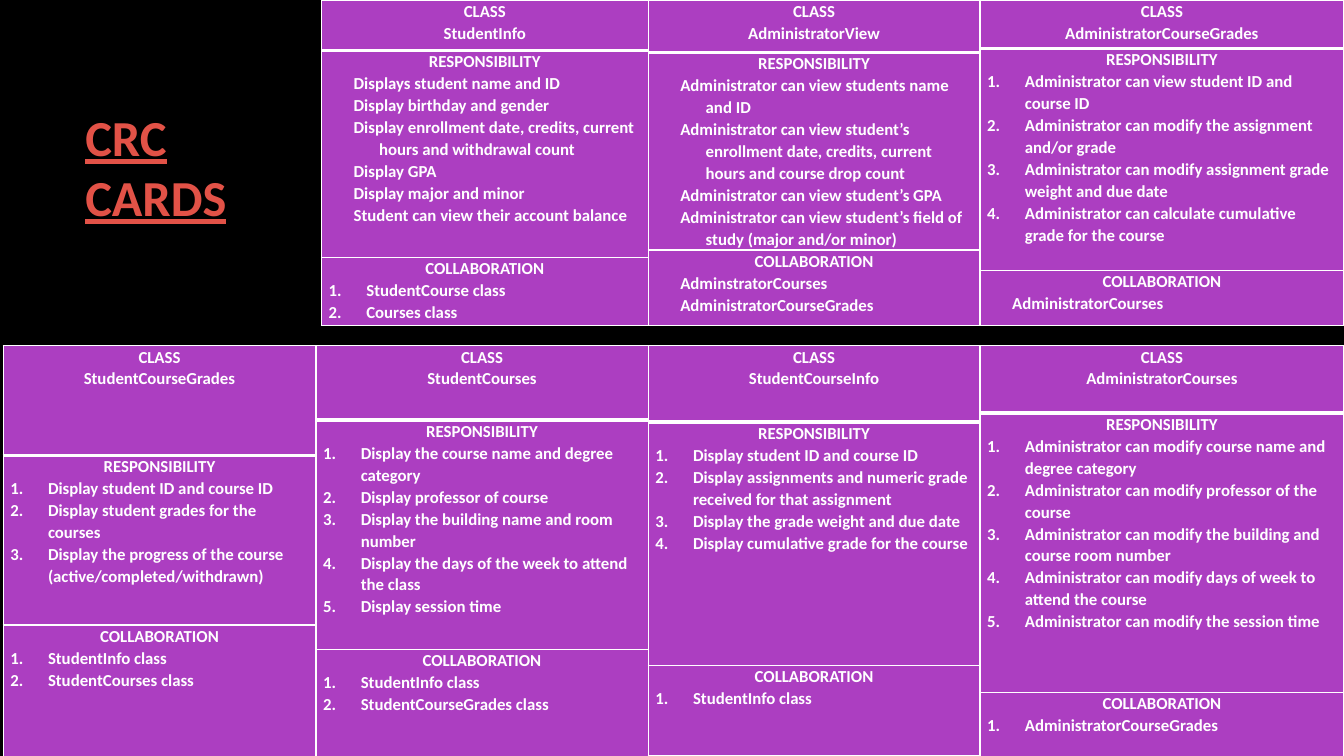
from lxml import etree
from pptx import Presentation
from pptx.dml.color import RGBColor
from pptx.enum.text import MSO_ANCHOR, PP_ALIGN
from pptx.oxml.ns import qn
from pptx.util import Cm, Pt

CENTER = PP_ALIGN.CENTER
MIDDLE = MSO_ANCHOR.MIDDLE
BLACK, WHITE, PURPLE, RED = "000000", "FFFFFF", "AC3EC1", "E25247"
NUMBERED, PLAIN = "numbered", "plain"
INDENTS = {NUMBERED: (0.95, -0.95), PLAIN: (1.27, -0.64)}
CARD_FONT = {"name": "Calibri", "size": Pt(12), "bold": True}
TITLE_FONT = {"name": "Calibri", "size": Pt(36), "bold": True, "underline": True}
CELL_FORMAT = {"margin_left": Cm(0.18), "margin_right": Cm(0.18),
               "margin_top": 0, "margin_bottom": 0}

TITLE = "CRC CARDS"
CARD_ROWS = [
    {"top": 0, "edges": (8.1, 16.33, 24.69, 33.86), "cards": [
        ("StudentInfo", (1.27, 5.21, 1.73), PLAIN, [
            "Displays student name and ID",
            "Display birthday and gender",
            "Display enrollment date, credits, current hours and withdrawal count",
            "Display GPA",
            "Display major and minor",
            "Student can view their account balance",
        ], NUMBERED, ["StudentCourse class", "Courses class"]),
        ("AdministratorView", (1.32, 4.98, 1.9), PLAIN, [
            "Administrator can view students name and ID",
            "Administrator can view student’s enrollment date, credits, "
            "current hours and course drop count",
            "Administrator can view student’s GPA",
            "Administrator can view student’s field of study (major and/or minor)",
        ], PLAIN, ["AdminstratorCourses", "AdministratorCourseGrades"]),
        ("AdministratorCourseGrades", (1.22, 5.59, 1.4), NUMBERED, [
            "Administrator can view student ID and course ID",
            "Administrator can modify the assignment and/or grade",
            "Administrator can modify assignment grade weight and due date",
            "Administrator can calculate cumulative grade for the course",
        ], PLAIN, ["AdministratorCourses"]),
    ]},
    {"top": 8.71, "edges": (0.08, 7.96, 16.33, 24.69, 33.86), "cards": [
        ("StudentCourseGrades", (2.77, 4.27, 3.38), NUMBERED, [
            "Display student ID and course ID",
            "Display student grades for the courses",
            "Display the progress of the course (active/completed/withdrawn)",
        ], NUMBERED, ["StudentInfo class", "StudentCourses class"]),
        ("StudentCourses", (1.88, 5.77, 2.79), NUMBERED, [
            "Display the course name and degree category",
            "Display professor of course",
            "Display the building name and room number",
            "Display the days of the week to attend the class",
            "Display session time",
        ], NUMBERED, ["StudentInfo class", "StudentCourseGrades class"]),
        ("StudentCourseInfo", (1.93, 6.12, 2.29), NUMBERED, [
            "Display student ID and course ID",
            "Display assignments and numeric grade received for that assignment",
            "Display the grade weight and due date",
            "Display cumulative grade for the course",
        ], NUMBERED, ["StudentInfo class"]),
        ("AdministratorCourses", (1.7, 7.04, 1.68), NUMBERED, [
            "Administrator can modify course name and degree category",
            "Administrator can modify professor of the course",
            "Administrator can modify the building and course room number",
            "Administrator can modify days of week to attend the course",
            "Administrator can modify the session time",
        ], NUMBERED, ["AdministratorCourseGrades"]),
    ]},
]


def apply(target, values):
    for name, value in values.items():
        setattr(target, name, value)


def color(hex_value):
    return RGBColor.from_string(hex_value)


def fill(target, hex_value):
    target.fill.solid()
    target.fill.fore_color.rgb = color(hex_value)


def write(paragraph, text, font, hex_value):
    run = paragraph.add_run()
    run.text = text
    apply(run.font, font)
    run.font.color.rgb = color(hex_value)


def set_borders(cell, widths):
    properties = cell._tc.get_or_add_tcPr()
    for index, (side, width) in enumerate(widths.items()):
        line = etree.Element(qn("a:ln" + side), w=str(Pt(width)))
        solid = etree.SubElement(line, qn("a:solidFill"))
        etree.SubElement(solid, qn("a:srgbClr"), val=WHITE)
        properties.insert(index, line)


def fill_cell(cell, lines):
    apply(cell, CELL_FORMAT)
    fill(cell, PURPLE)
    frame = cell.text_frame
    for index, (text, style) in enumerate(lines):
        paragraph = frame.add_paragraph() if index else frame.paragraphs[0]
        paragraph.line_spacing = 1.07
        if style in INDENTS:
            properties = paragraph._p.get_or_add_pPr()
            for name, length in zip(("marL", "indent"), INDENTS[style]):
                properties.set(name, str(Cm(length)))
            if style == NUMBERED:
                etree.SubElement(properties, qn("a:buAutoNum"), type="arabicPeriod")
        else:
            paragraph.alignment = CENTER
        write(paragraph, text, CARD_FONT, WHITE)


def add_card(slide, left, top, width, card):
    name, heights, duty_style, duties, partner_style, partners = card
    sections = [
        [("CLASS", None), (name, None)],
        [("RESPONSIBILITY", None)] + [(text, duty_style) for text in duties],
        [("COLLABORATION", None)] + [(text, partner_style) for text in partners],
    ]
    table = slide.shapes.add_table(len(sections), 1, Cm(left), Cm(top),
                                   Cm(width), Cm(sum(heights))).table
    apply(table, {"first_row": False, "horz_banding": False})
    for index, (height, lines) in enumerate(zip(heights, sections)):
        table.rows[index].height = Cm(height)
        cell = table.cell(index, 0)
        fill_cell(cell, lines)
        set_borders(cell, {"L": 1, "R": 1, "T": 3 if index == 1 else 1,
                           "B": 3 if index == 0 else 1})


presentation = Presentation()
apply(presentation, {"slide_width": Cm(33.86), "slide_height": Cm(19.05)})
slide = presentation.slides.add_slide(presentation.slide_layouts[6])
fill(slide.background, BLACK)

title = slide.shapes.add_textbox(Cm(1.9), Cm(1.7), Cm(4.34), Cm(4.98))
apply(title.text_frame, {"word_wrap": True, "vertical_anchor": MIDDLE})
write(title.text_frame.paragraphs[0], TITLE, TITLE_FONT, RED)

for card_row in CARD_ROWS:
    edges = card_row["edges"]
    for left, right, card in zip(edges, edges[1:], card_row["cards"]):
        add_card(slide, left, card_row["top"], right - left, card)

presentation.save("out.pptx")
